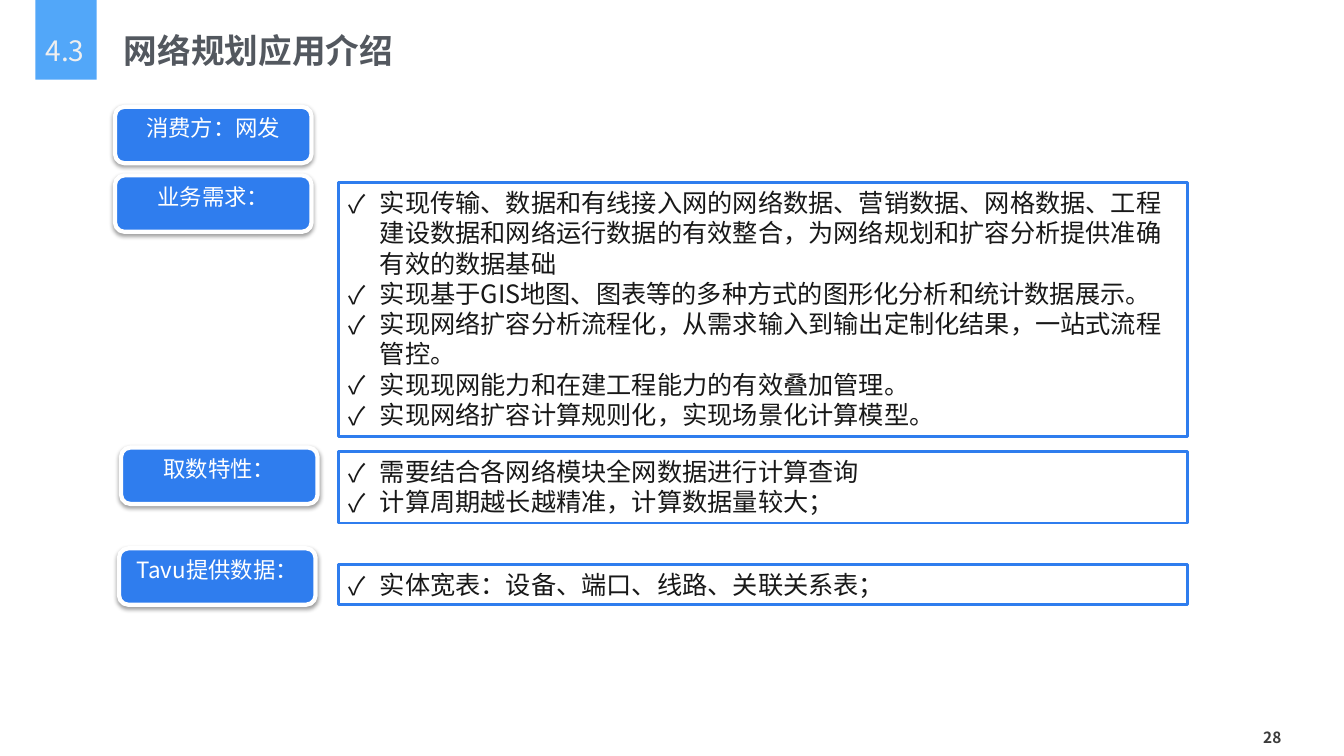
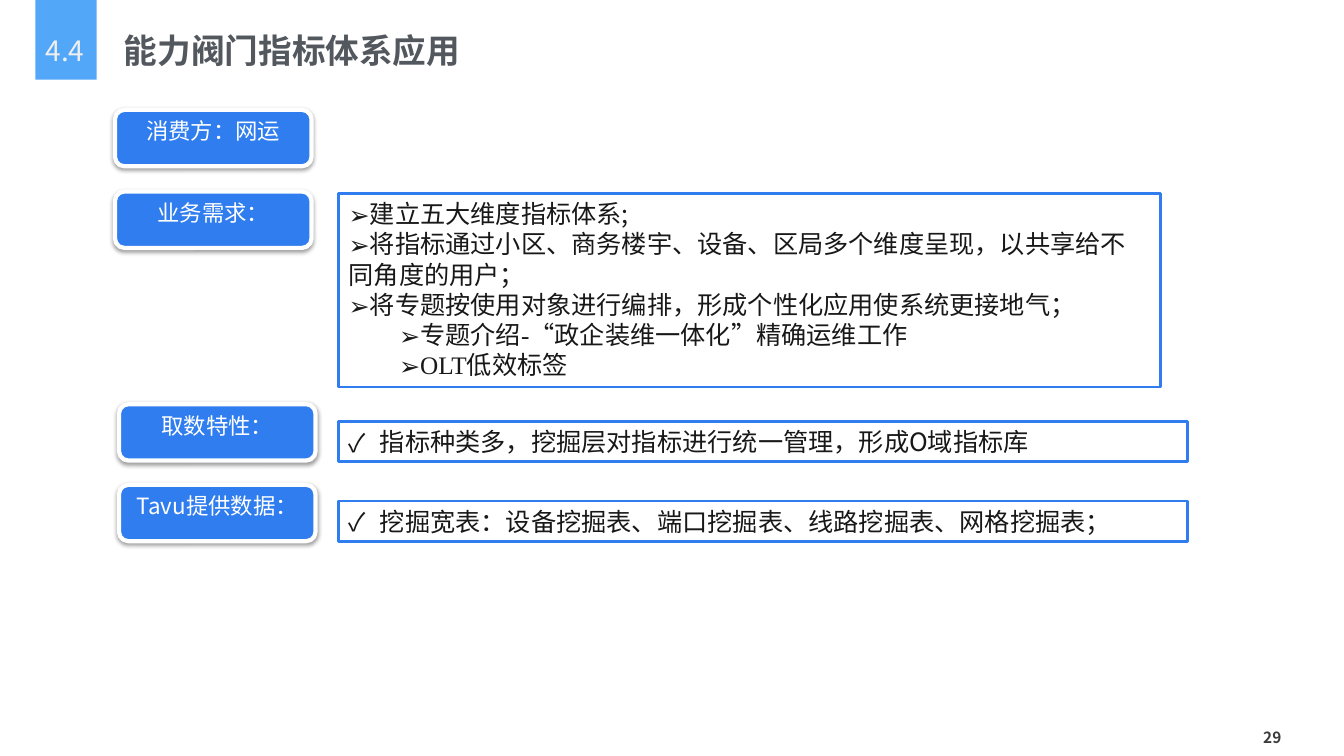
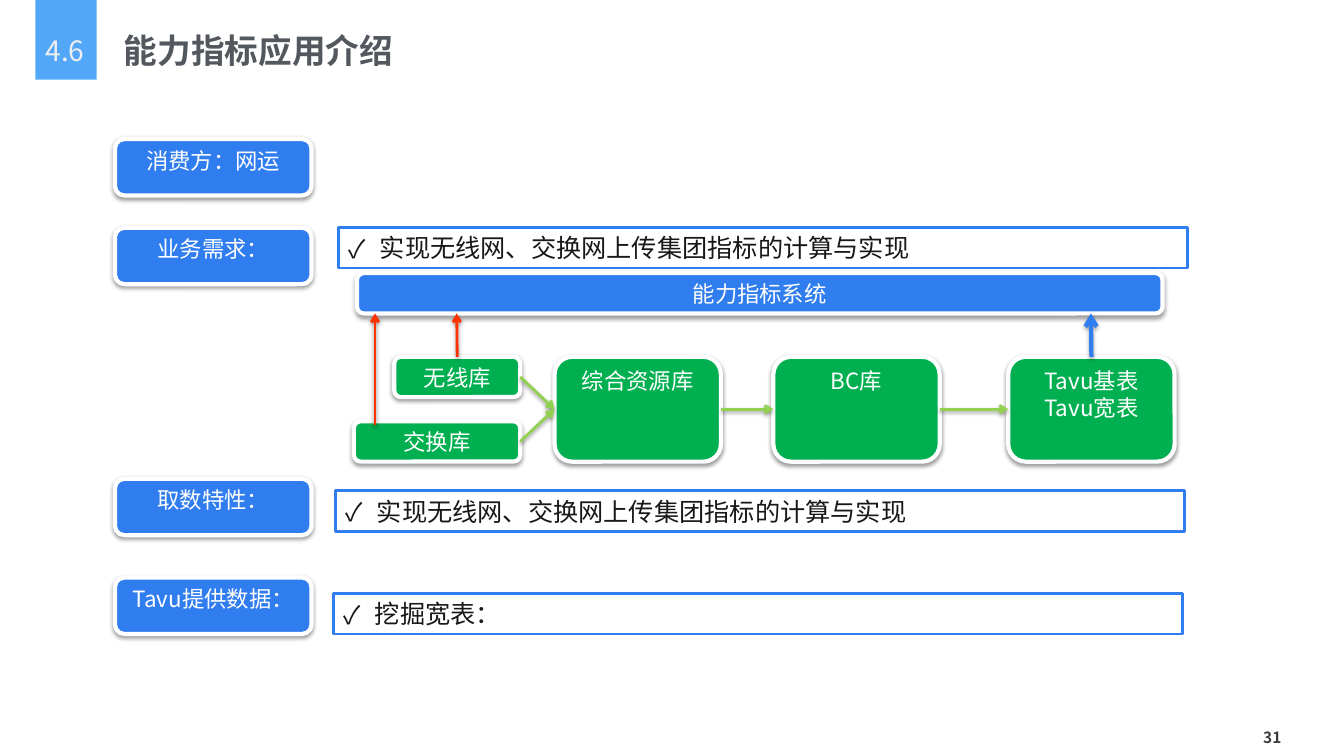
from pptx import Presentation
from pptx import util as u
from pptx.dml.color import RGBColor
from pptx.enum import shapes, text
from pptx.oxml import parse_xml
from pptx.oxml.ns import nsdecls

BLUE = RGBColor(0x2F, 0x7D, 0xEE)
SKY = RGBColor(0x52, 0xA7, 0xF9)
GREEN = RGBColor(0x00, 0xB0, 0x50)
LIME = RGBColor(0x92, 0xD0, 0x50)
RED = RGBColor(0xFF, 0x33, 0x00)
WHITE = RGBColor(0xFF, 0xFF, 0xFF)
PALE = RGBColor(0xEF, 0xEF, 0xEF)
INK = RGBColor(0x18, 0x18, 0x18)
TITLE_GREY = RGBColor(0x53, 0x58, 0x5F)
PAGE_GREY = RGBColor(0x3C, 0x3C, 0x3C)
FONT = "Noto Sans CJK SC"
SERIF = "Times New Roman"
LINE_HEIGHT = 1.2
LABEL_SIZE = (1.95, 0.56)
CARD_LEFT = 3.36
CARD_WIDTH = 8.42
LEFT, CENTER, RIGHT = text.PP_ALIGN.LEFT, text.PP_ALIGN.CENTER, text.PP_ALIGN.RIGHT
TOP_SIDE, LEFT_SIDE, RIGHT_SIDE = 0, 1, 3


def add_paragraph(frame, index, content, size, color, align=LEFT, bold=False, latin=FONT):
    paragraph = frame.paragraphs[0] if index == 0 else frame.add_paragraph()
    paragraph.alignment = align
    paragraph.line_spacing = u.Pt(LINE_HEIGHT * size)
    run = paragraph.add_run()
    run.text = content
    run.font.size = u.Pt(size)
    run.font.bold = bold
    run.font.color.rgb = color
    run.font.name = latin
    run.font._element.append(parse_xml(f'<a:ea {nsdecls("a")} typeface="{FONT}"/>'))
    return paragraph


def set_bullet(paragraph, symbol, margin, indent):
    properties = paragraph._p.get_or_add_pPr()
    properties.set("marL", str(u.Inches(margin)))
    properties.set("indent", str(u.Inches(indent)))
    properties.append(parse_xml(f'<a:buFont {nsdecls("a")} typeface="{FONT}"/>'))
    properties.append(parse_xml(f'<a:buChar {nsdecls("a")} char="{symbol}"/>'))


def add_text(slide, box, content, size, color, margins, **style):
    shape = slide.shapes.add_textbox(*map(u.Inches, box))
    frame = shape.text_frame
    frame.word_wrap = True
    frame.margin_left, frame.margin_top, frame.margin_right, frame.margin_bottom = map(u.Inches, margins)
    add_paragraph(frame, 0, content, size, color, **style)
    return frame


def add_box(slide, kind, box, fill, line=None, width=0):
    shape = slide.shapes.add_shape(kind, *map(u.Inches, box))
    shape.fill.solid()
    shape.fill.fore_color.rgb = fill
    if line is None:
        shape.line.fill.background()
    else:
        shape.line.color.rgb = line
        shape.line.width = u.Pt(width)
    shape.shadow.inherit = False
    frame = shape.text_frame
    frame.word_wrap = True
    frame.vertical_anchor = text.MSO_ANCHOR.TOP
    return shape


def set_soft_shadow(shape):
    properties = shape._element.spPr
    for effects in properties.findall("{*}effectLst"):
        properties.remove(effects)
    properties.append(parse_xml(
        f'<a:effectLst {nsdecls("a")}><a:outerShdw blurRad="{u.Pt(3.1)}" dist="{u.Pt(1.6)}" '
        'dir="5400000" rotWithShape="0"><a:srgbClr val="000000"><a:alpha val="38000"/>'
        '</a:srgbClr></a:outerShdw></a:effectLst>'))


def add_button(slide, box, lines, fill=BLUE):
    shape = add_box(slide, shapes.MSO_SHAPE.ROUNDED_RECTANGLE, box, fill, WHITE, 3)
    set_soft_shadow(shape)
    for index, line in enumerate(lines):
        add_paragraph(shape.text_frame, index, line, 16, WHITE, CENTER)
    return shape


def add_labels(slide, labels):
    for left, top, content in labels:
        add_button(slide, (left, top, *LABEL_SIZE), [content])


def add_card(slide, top, height, lines, left=CARD_LEFT):
    shape = add_box(slide, shapes.MSO_SHAPE.RECTANGLE, (left, top, CARD_WIDTH, height), WHITE, BLUE, 2)
    for index, line in enumerate(lines):
        set_bullet(add_paragraph(shape.text_frame, index, line, 18, INK), "✓", 0.31, -0.31)


def add_topic_card(slide, box, topics):
    shape = add_box(slide, shapes.MSO_SHAPE.RECTANGLE, box, WHITE, BLUE, 2)
    shape.text_frame.margin_right = u.Inches(0.2)
    for index, (level, line) in enumerate(topics):
        paragraph = add_paragraph(shape.text_frame, index, line, 18, INK, latin=SERIF if level else FONT)
        paragraph.level = level
        set_bullet(paragraph, "➢", 0.5 * level, 0)


def add_arrow(slide, start, end, color, width=2, source=None, target=None):
    connector = slide.shapes.add_connector(
        shapes.MSO_CONNECTOR.STRAIGHT, *map(u.Inches, (*start, *end)))
    if source:
        connector.begin_connect(*source)
    if target:
        connector.end_connect(*target)
    connector.line.color.rgb = color
    connector.line.width = u.Pt(width)
    connector.line._get_or_add_ln().append(parse_xml(f'<a:tailEnd {nsdecls("a")} type="arrow"/>'))
    set_soft_shadow(connector)


def add_slide(presentation, number, title, page):
    slide = presentation.slides.add_slide(presentation.slide_layouts[6])
    add_text(slide, (8, 7.17, 5, 0.29), page, 11, PAGE_GREY, (0.11, 0.05, 0.29, 0.05),
             align=RIGHT, bold=True)
    add_box(slide, shapes.MSO_SHAPE.RECTANGLE, (0.35, -0.01, 0.61, 0.8), SKY)
    thin = (0.03,) * 4
    badge = add_text(slide, (0.42, 0.3, 0.45, 0.39), number, 20, PALE, thin, align=CENTER)
    badge.word_wrap = False
    heading = add_text(slide, (1.2, 0.29, 6, 0.42), title, 24, TITLE_GREY, thin, bold=True)
    for frame in (badge, heading):
        frame.vertical_anchor = text.MSO_ANCHOR.MIDDLE
    return slide


def build_planning(presentation):
    slide = add_slide(presentation, "4.3", "网络规划应用介绍", "28")
    add_labels(slide, [
        (1.14, 1.06, "消费方：网发"),
        (1.14, 1.74, "业务需求："),
        (1.2, 4.44, "取数特性："),
        (1.18, 5.44, "Tavu提供数据："),
    ])
    add_card(slide, 1.81, 2.52, [
        "实现传输、数据和有线接入网的网络数据、营销数据、网格数据、工程建设数据和网络运行数据的有效整合，"
        "为网络规划和扩容分析提供准确有效的数据基础",
        "实现基于GIS地图、图表等的多种方式的图形化分析和统计数据展示。",
        "实现网络扩容分析流程化，从需求输入到输出定制化结果，一站式流程管控。",
        "实现现网能力和在建工程能力的有效叠加管理。",
        "实现网络扩容计算规则化，实现场景化计算模型。",
    ])
    add_card(slide, 4.48, 0.71, [
        "需要结合各网络模块全网数据进行计算查询",
        "计算周期越长越精准，计算数据量较大；",
    ])
    add_card(slide, 5.6, 0.4, ["实体宽表：设备、端口、线路、关联关系表；"])


def build_valve(presentation):
    slide = add_slide(presentation, "4.4", "能力阀门指标体系应用", "29")
    add_labels(slide, [
        (1.14, 1.09, "消费方：网运"),
        (1.14, 1.9, "业务需求："),
        (1.18, 4.01, "取数特性："),
        (1.18, 4.81, "Tavu提供数据："),
    ])
    add_topic_card(slide, (CARD_LEFT, 1.92, 8.15, 1.92), [
        (0, "建立五大维度指标体系;"),
        (0, "将指标通过小区、商务楼宇、设备、区局多个维度呈现，以共享给不同角度的用户；"),
        (0, "将专题按使用对象进行编排，形成个性化应用使系统更接地气；"),
        (1, "专题介绍-“政企装维一体化”精确运维工作"),
        (1, "OLT低效标签"),
    ])
    add_card(slide, 4.18, 0.4, ["指标种类多，挖掘层对指标进行统一管理，形成O域指标库"])
    add_card(slide, 4.97, 0.4, ["挖掘宽表：设备挖掘表、端口挖掘表、线路挖掘表、网格挖掘表；"])


def add_data_flow(slide):
    wireless = add_button(slide, (3.91, 3.54, 1.25, 0.4), ["无线库"], GREEN)
    exchange = add_button(slide, (3.51, 4.18, 1.65, 0.4), ["交换库"], GREEN)
    resource, center, tables = [
        add_button(slide, (left, 3.54, 1.65, 1.04), lines, GREEN)
        for left, lines in [
            (5.5, ["综合资源库"]),
            (7.67, ["BC库"]),
            (10, ["Tavu基表", "Tavu宽表"]),
        ]
    ]
    add_button(slide, (3.54, 2.71, 7.99, 0.4), ["能力指标系统"])
    for source, target, start, end in [
        (wireless, resource, (5.16, 3.74), (5.5, 4.06)),
        (exchange, resource, (5.16, 4.38), (5.5, 4.06)),
        (resource, center, (7.15, 4.06), (7.67, 4.06)),
        (center, tables, (9.32, 4.06), (10, 4.06)),
    ]:
        add_arrow(slide, start, end, LIME, source=(source, RIGHT_SIDE), target=(target, LEFT_SIDE))
    for x, bottom, color, width, source in [
        (10.82, 3.54, BLUE, 3, (tables, TOP_SIDE)),
        (4.53, 3.54, RED, 2, (wireless, TOP_SIDE)),
        (3.72, 4.22, RED, 2, None),
    ]:
        add_arrow(slide, (x, bottom), (x, 3.11), color, width, source)


def build_capability(presentation):
    slide = add_slide(presentation, "4.6", "能力指标应用介绍", "31")
    add_labels(slide, [
        (1.14, 1.38, "消费方：网运"),
        (1.14, 2.26, "业务需求："),
        (1.14, 4.75, "取数特性："),
        (1.14, 5.73, "Tavu提供数据："),
    ])
    goal = "实现无线网、交换网上传集团指标的计算与实现"
    add_card(slide, 2.26, 0.4, [goal])
    add_data_flow(slide)
    add_card(slide, 4.87, 0.4, [goal], 3.33)
    add_card(slide, 5.89, 0.4, ["挖掘宽表："], 3.31)


def main():
    presentation = Presentation()
    presentation.slide_width = u.Inches(13.33)
    presentation.slide_height = u.Inches(7.5)
    build_planning(presentation)
    build_valve(presentation)
    build_capability(presentation)
    presentation.save("out.pptx")


if __name__ == "__main__":
    main()
